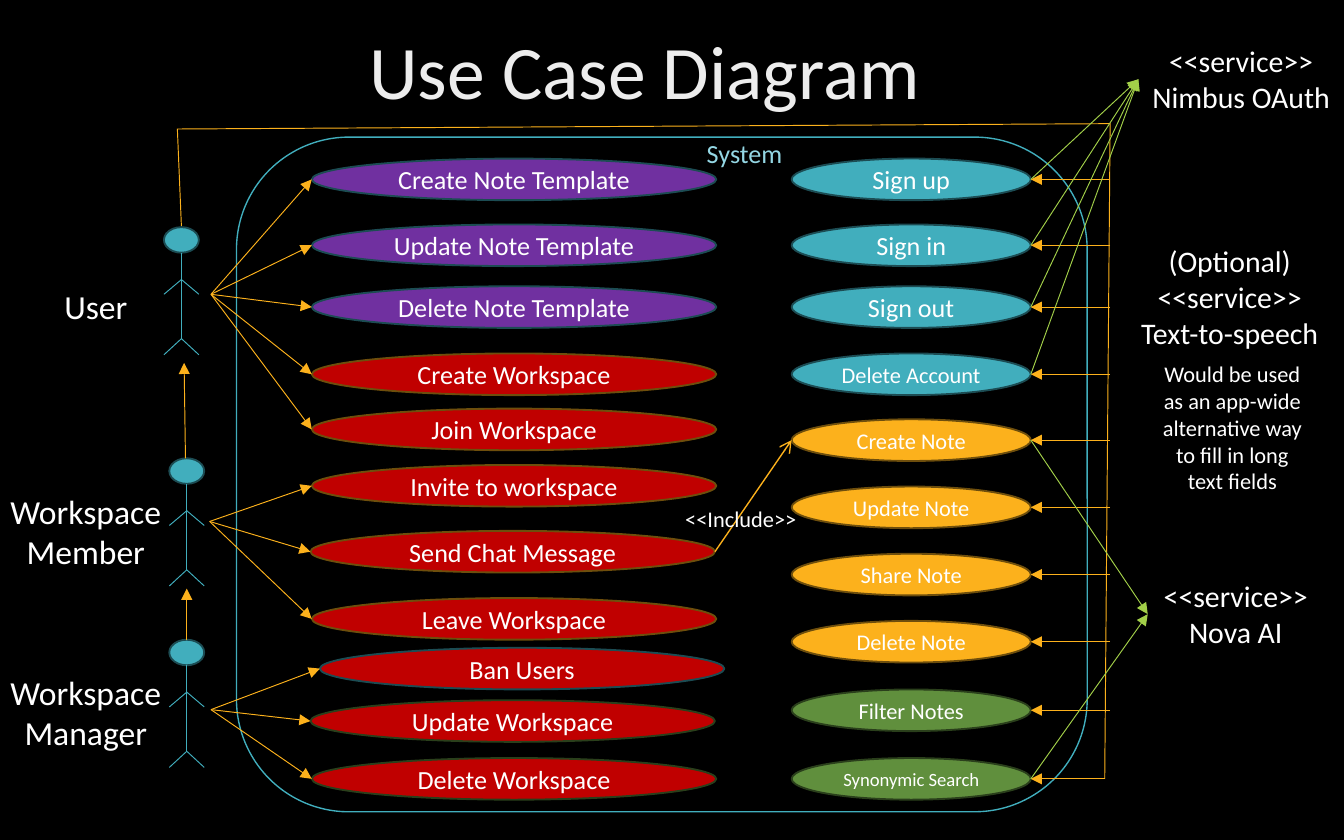
from copy import deepcopy

from lxml import etree
from pptx import Presentation
from pptx.dml.color import RGBColor
from pptx.enum import shapes, text
from pptx.oxml.ns import qn
from pptx.util import Inches, Pt

FONT = "Calibri"
BLACK = RGBColor(0x00, 0x00, 0x00)
WHITE = RGBColor(0xFF, 0xFF, 0xFF)
TEAL = RGBColor(0x41, 0xAE, 0xBD)
DARK_TEAL = RGBColor(0x1C, 0x4C, 0x53)
PALE_TEAL = RGBColor(0x94, 0xD7, 0xE4)
ORANGE = RGBColor(0xFC, 0xB1, 0x1C)
DARK_ORANGE = RGBColor(0x6E, 0x4E, 0x0C)
GREEN = RGBColor(0x60, 0x8F, 0x3D)
DARK_GREEN = RGBColor(0x2A, 0x3F, 0x1B)
LIME = RGBColor(0xA2, 0xCF, 0x49)
PURPLE = RGBColor(0x70, 0x30, 0xA0)
RED = RGBColor(0xC0, 0x00, 0x00)
TITLE_STOPS = [(0, RGBColor(0xBF, 0xBF, 0xBF)), (0.28, RGBColor(0xED, 0xED, 0xED)), (1, WHITE)]

CASE_HEIGHT = 0.31
# Label, left and top offset in the column, fill, outline, text size
MAIN_CASES = [
    ("Create Note Template", 0, 0, PURPLE, DARK_TEAL, 14),
    ("Update Note Template", 0, 0.49, PURPLE, DARK_TEAL, 14),
    ("Delete Note Template", 0, 0.95, PURPLE, DARK_TEAL, 14),
    ("Create Workspace", 0, 1.45, RED, DARK_ORANGE, 14),
    ("Join Workspace", 0, 1.86, RED, DARK_ORANGE, 14),
    ("Invite to workspace", 0, 2.28, RED, DARK_ORANGE, 14),
    ("Send Chat Message", -0.01, 2.77, RED, DARK_ORANGE, 14),
    ("Leave Workspace", 0, 3.27, RED, DARK_ORANGE, 14),
    ("Ban Users", 0.06, 3.64, RED, DARK_TEAL, 14),
    ("Update Workspace", -0.01, 4.03, RED, DARK_GREEN, 14),
    ("Delete Workspace", 0, 4.46, RED, DARK_GREEN, 14),
]
SHARED_CASES = [
    ("Sign up", 0, 0, TEAL, DARK_TEAL, 14),
    ("Sign in", 0, 0.49, TEAL, DARK_TEAL, 14),
    ("Sign out", 0, 0.95, TEAL, DARK_TEAL, 14),
    ("Delete Account", 0, 1.45, TEAL, DARK_TEAL, 12),
    ("Create Note", 0, 1.94, ORANGE, DARK_ORANGE, 12),
    ("Update Note", 0, 2.44, ORANGE, DARK_ORANGE, 12),
    ("Share Note", 0, 2.94, ORANGE, DARK_ORANGE, 12),
    ("Delete Note", 0, 3.44, ORANGE, DARK_ORANGE, 12),
    ("Filter Notes", 0, 3.95, GREEN, DARK_GREEN, 12),
    ("Synonymic Search", 0, 4.46, GREEN, DARK_GREEN, 10),
]


def format_runs(paragraph, size, color):
    for run in paragraph.runs:
        run.font.name = FONT
        run.font.size = Pt(size)
        run.font.color.rgb = color


def add_line(slide, start, end, color, width=0.5, arrowhead=None):
    line = slide.shapes.add_connector(
        shapes.MSO_CONNECTOR.STRAIGHT, *map(Inches, (*start, *end)))
    line.line.color.rgb = color
    line.line.width = Pt(width)
    properties = line._element.spPr
    if arrowhead:
        etree.SubElement(line.line._get_or_add_ln(), qn("a:tailEnd"), type=arrowhead)
    etree.SubElement(properties, qn("a:effectLst"))


def add_outlined(slide, preset, box, fill, outline, width=1):
    shape = slide.shapes.add_shape(preset, *map(Inches, box))
    shape.shadow.inherit = False
    if fill is None:
        shape.fill.background()
    else:
        shape.fill.solid()
        shape.fill.fore_color.rgb = fill
    shape.line.color.rgb = outline
    shape.line.width = Pt(width)
    return shape


def add_label(slide, box, wording, size, color=WHITE, alignments=("CENTER",), wrap=False):
    """Add a text box; alignments holds one name for each paragraph."""
    label = slide.shapes.add_textbox(*map(Inches, box))
    frame = label.text_frame
    frame.text = wording
    frame.word_wrap = wrap
    frame.auto_size = text.MSO_AUTO_SIZE.SHAPE_TO_FIT_TEXT
    for paragraph, alignment in zip(frame.paragraphs, alignments):
        paragraph.alignment = text.PP_ALIGN[alignment]
        format_runs(paragraph, size, color)


def place_title(slide, box):
    title = slide.shapes.title
    title.left, title.top, title.width, title.height = map(Inches, box)
    frame = title.text_frame
    frame.text = "Use Case Diagram"
    frame.vertical_anchor = text.MSO_ANCHOR.MIDDLE
    paragraph = frame.paragraphs[0]
    paragraph.alignment = text.PP_ALIGN.CENTER
    paragraph.line_spacing = 0.9
    font = paragraph.runs[0].font
    font.name = FONT
    font.size = Pt(40.5)
    font.fill.gradient()
    font.fill.gradient_angle = 280
    stop_list = next(title._element.iter(qn("a:gsLst")))
    stop_list.append(deepcopy(stop_list[0]))
    for stop, (position, color) in zip(font.fill.gradient_stops, TITLE_STOPS):
        stop.position = position
        stop.color.rgb = color


def add_cases(slide, left, top, width, cases):
    """Draw a column of use cases; return the left and right end of each by label."""
    ends = {}
    for name, dx, dy, fill, outline, size in cases:
        x, y = left + dx, top + dy
        shape = add_outlined(slide, shapes.MSO_SHAPE.OVAL,
                             (x, y, width, CASE_HEIGHT), fill, outline)
        frame = shape.text_frame
        frame.text = name
        frame.word_wrap = False
        frame.vertical_anchor = text.MSO_ANCHOR.MIDDLE
        frame.paragraphs[0].alignment = text.PP_ALIGN.CENTER
        format_runs(frame.paragraphs[0], size, WHITE)
        middle = y + CASE_HEIGHT / 2
        ends[name] = (x, middle), (x + width, middle)
    return ends


def add_actor(slide, left, top):
    """Draw a stick figure from the top left of its head."""
    width = 0.26
    center = left + width / 2
    add_outlined(slide, shapes.MSO_SHAPE.OVAL, (left, top, width, 0.19), TEAL, DARK_TEAL)
    add_line(slide, (center, top + 0.19), (center, top + 0.83), TEAL)
    for joint, tip in ((0.39, 0.5), (0.83, 0.95)):
        for x in (left, left + width):
            add_line(slide, (center, top + joint), (x, top + tip), TEAL)


def add_user_feed(slide, start, right, targets):
    """Lead the user's line over the system and down to every shared case."""
    bottom = targets[-1][1]
    corners = [(1.32, 0.96), (right, 0.92), (right - 0.04, bottom)]
    builder = slide.shapes.build_freeform(*map(Inches, start))
    builder.add_line_segments([(Inches(x), Inches(y)) for x, y in corners], close=False)
    feed = builder.convert_to_shape()
    feed.shadow.inherit = False
    feed.fill.background()
    feed.line.color.rgb = ORANGE
    feed.line.width = Pt(0.5)
    for target in targets:
        x = right - 0.04 if target[1] == bottom else right
        add_line(slide, (x, target[1]), target, ORANGE, arrowhead="triangle")


def add_system(slide, left, top, width, height):
    """Draw the system frame; return the ends of the main and the shared cases."""
    add_outlined(slide, shapes.MSO_SHAPE.ROUNDED_RECTANGLE,
                 (left, top, width, height), None, TEAL, 0.75)
    add_label(slide, (left + 3.4, top - 0.05, 0.81, 0.34), "System", 14, PALE_TEAL, ("LEFT",))
    main = add_cases(slide, left + 0.56, top + 0.16, 3.01, MAIN_CASES)
    shared = add_cases(slide, left + 4.13, top + 0.16, 1.78, SHARED_CASES)
    add_line(slide, main["Send Chat Message"][1], shared["Create Note"][0],
             ORANGE, 0.75, "arrow")
    add_label(slide, (left + 3.24, top + 2.69, 1.05, 0.3), "<<Include>>", 12, alignments=("LEFT",))
    return main, shared


def add_actors(slide, main):
    names = list(main)
    actors = [(1.22, 1.69, (1.57, 2.19), names[:5]),
              (1.26, 3.41, (1.56, 3.88), names[5:8]),
              (1.26, 4.76, (1.57, 5.28), names[8:])]
    for left, top, hand, cases in actors:
        add_actor(slide, left, top)
        for case in cases:
            add_line(slide, hand, main[case][0], ORANGE, arrowhead="triangle")
    for start, end in (((1.38, 3.41), (1.37, 2.7)), ((1.39, 4.76), (1.39, 4.38))):
        add_line(slide, start, end, ORANGE, arrowhead="triangle")
    add_label(slide, (0.38, 2.08, 0.68, 0.4), "User", 18, alignments=("LEFT",))
    for top, role in ((3.6, "Member"), (4.95, "Manager")):
        add_label(slide, (-0.02, top, 1.4, 0.71), f"Workspace\n{role}", 18,
                  alignments=("LEFT", "CENTER"))


def add_services(slide, shared):
    add_label(slide, (8.47, 0.27, 1.53, 0.64), "<<service>>\vNimbus OAuth", 16)
    add_label(slide, (8.54, 4.25, 1.31, 0.64), "<<service>>\vNova AI", 16)
    add_label(slide, (8.35, 1.76, 1.6, 0.91), "(Optional)\v<<service>>\vText-to-speech", 16)
    add_label(slide, (8.55, 2.63, 1.24, 1.11), "Would be used as an app-wide "
              "alternative way to fill in long text fields", 12, wrap=True)
    calls = [((8.47, 0.59), ("Sign up", "Sign in", "Sign out", "Delete Account")),
             ((8.54, 4.57), ("Create Note", "Synonymic Search"))]
    for service, cases in calls:
        for case in cases:
            add_line(slide, shared[case][1], service, LIME, arrowhead="triangle")


def main():
    presentation = Presentation()
    presentation.slide_width, presentation.slide_height = Inches(10), Inches(6.25)
    slide = presentation.slides.add_slide(presentation.slide_layouts[5])
    slide.background.fill.solid()
    slide.background.fill.fore_color.rgb = BLACK
    place_title(slide, (0.49, -0.05, 8.62, 1.21))
    main_cases, shared_cases = add_system(slide, 1.76, 1.02, 6.33, 5.02)
    add_actors(slide, main_cases)
    add_user_feed(slide, (1.35, 1.68), 8.26, [right for _, right in shared_cases.values()])
    add_services(slide, shared_cases)
    presentation.save("out.pptx")


if __name__ == "__main__":
    main()
